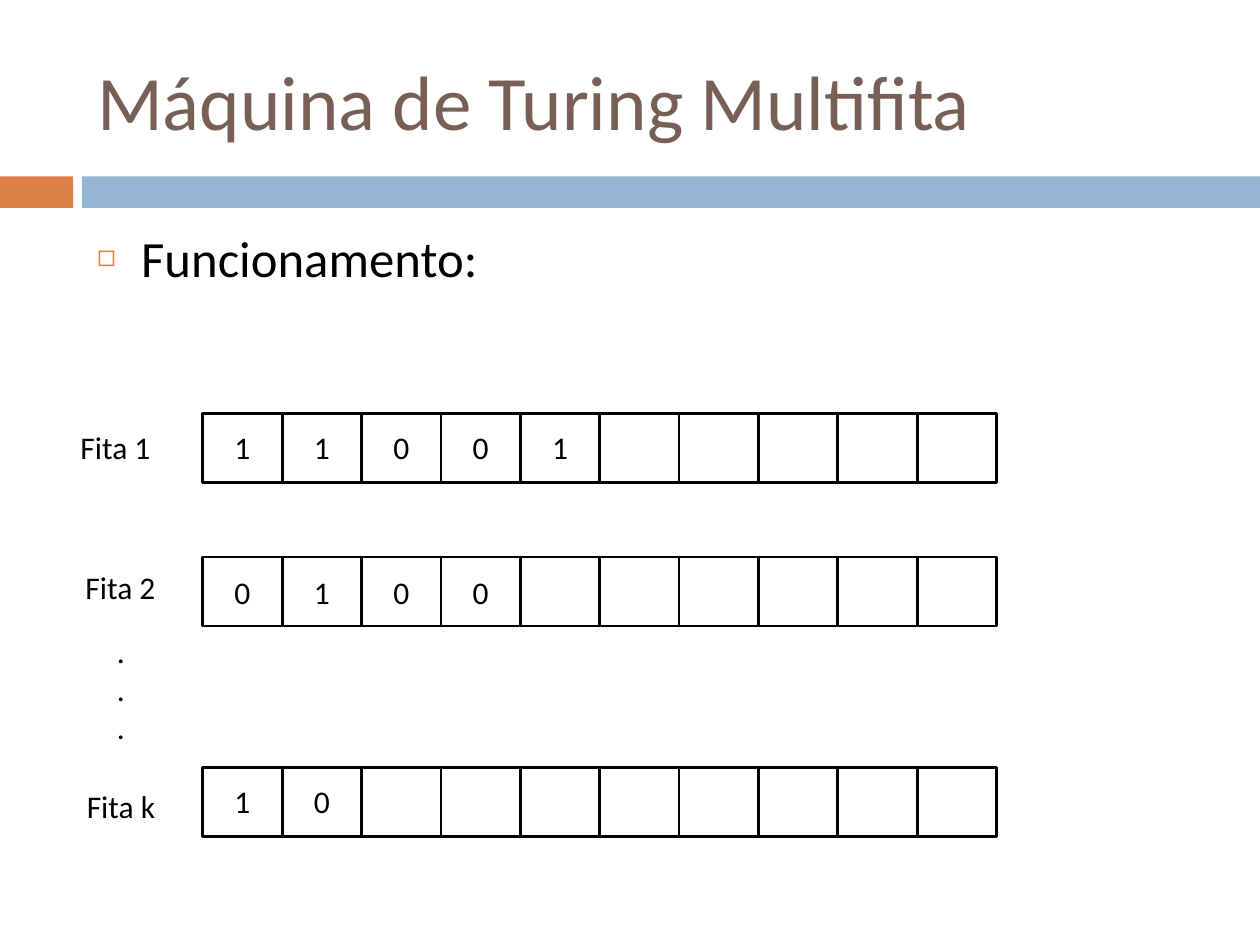
import pptx
import pptx.dml.color
import pptx.enum.shapes
import pptx.enum.text
import pptx.oxml.ns
import pptx.util
from lxml import etree

Inches = pptx.util.Inches
Pt = pptx.util.Pt
ALIGN = pptx.enum.text.PP_ALIGN
ANCHOR = pptx.enum.text.MSO_ANCHOR

CELLS = 10
CELL_W, CELL_H = 0.63, 0.55
TAPE_LEFT = 1.61
# label, label left, label top, tape top, symbol top, symbols
TAPES = [
    ("Fita 1", 0.54, 3.35, 3.28, 3.35, "11001"),
    ("Fita 2", 0.58, 4.46, 4.42, 4.5, "0100"),
    ("Fita k", 0.59, 6.2, 6.09, 6.16, "10"),
]


def color(hex_code):
    return pptx.dml.color.RGBColor.from_string(hex_code)


class SlideBuilder:
    font = "Calibri"
    ink = "000000"
    accent = "DD8047"
    band = "94B6D2"
    heading = "775F55"

    def __init__(self, slide):
        self.s = slide

    def set_text(self, tf, text, size, ink, align=ALIGN.LEFT):
        tf.text = text
        for p in tf.paragraphs:
            p.alignment = align
            for r in p.runs:
                r.font.name = self.font
                r.font.size = Pt(size)
                r.font.color.rgb = color(ink)

    def place(self, sp, left, top, width, height):
        sp.left, sp.top = Inches(left), Inches(top)
        sp.width, sp.height = Inches(width), Inches(height)

    def title(self, text):
        sp = self.s.shapes.title
        self.place(sp, 0.67, 0.25, 8.92, 1.08)
        sp.text_frame.vertical_anchor = ANCHOR.MIDDLE
        self.set_text(sp.text_frame, text, 44, self.heading)

    def bullets(self, text):
        sp = self.s.placeholders[1]
        self.place(sp, 0.67, 1.75, 8.92, 4.92)
        self.set_text(sp.text_frame, text, 29, self.ink)
        qn = pptx.oxml.ns.qn
        for p in sp.text_frame.paragraphs:
            p.space_before = Pt(7)
            pPr = p._p.get_or_add_pPr()
            pPr.set("marL", str(Inches(0.35)))
            pPr.set("indent", str(-Inches(0.35)))
            bu_color = etree.SubElement(pPr, qn("a:buClr"))
            etree.SubElement(bu_color, qn("a:srgbClr"), val=self.accent)
            etree.SubElement(pPr, qn("a:buSzPct"), val="60000")
            etree.SubElement(pPr, qn("a:buChar"), char="◻")

    def rect(self, left, top, width, height, fill, line=None):
        sp = self.s.shapes.add_shape(
            pptx.enum.shapes.MSO_SHAPE.RECTANGLE,
            Inches(left), Inches(top), Inches(width), Inches(height))
        sp.shadow.inherit = False
        sp.fill.solid()
        sp.fill.fore_color.rgb = color(fill)
        if line:
            sp.line.color.rgb = color(line)
            sp.line.width = Pt(1.5)
        else:
            sp.line.fill.background()

    def text(self, text, left, top, width, height=0.4, align=ALIGN.LEFT):
        sp = self.s.shapes.add_textbox(
            Inches(left), Inches(top), Inches(width), Inches(height))
        sp.text_frame.word_wrap = True
        self.set_text(sp.text_frame, text, 18, self.ink, align)

    def tape(self, label, label_left, label_top, top, symbol_top, symbols):
        lefts = [TAPE_LEFT + i * CELL_W for i in range(CELLS)]
        for left in lefts:
            self.rect(left, top, CELL_W, CELL_H, "FFFFFF", self.ink)
        for left, symbol in zip(lefts, symbols):
            self.text(symbol, left, symbol_top, CELL_W, align=ALIGN.CENTER)
        self.text(label, label_left, label_top, 0.89)


def main():
    prs = pptx.Presentation()
    prs.slide_width, prs.slide_height = Inches(10), Inches(7.5)
    b = SlideBuilder(prs.slides.add_slide(prs.slide_layouts[1]))

    b.rect(0, 1.4, 0.58, 0.25, b.accent)
    b.rect(0.65, 1.4, 9.35, 0.25, b.band)
    b.title("Máquina de Turing Multifita")
    b.bullets("Funcionamento:")
    for tape in TAPES:
        b.tape(*tape)
    b.text(".\n.\n.", 0.83, 4.97, 0.39, 1.01)

    prs.save("out.pptx")


if __name__ == "__main__":
    main()
